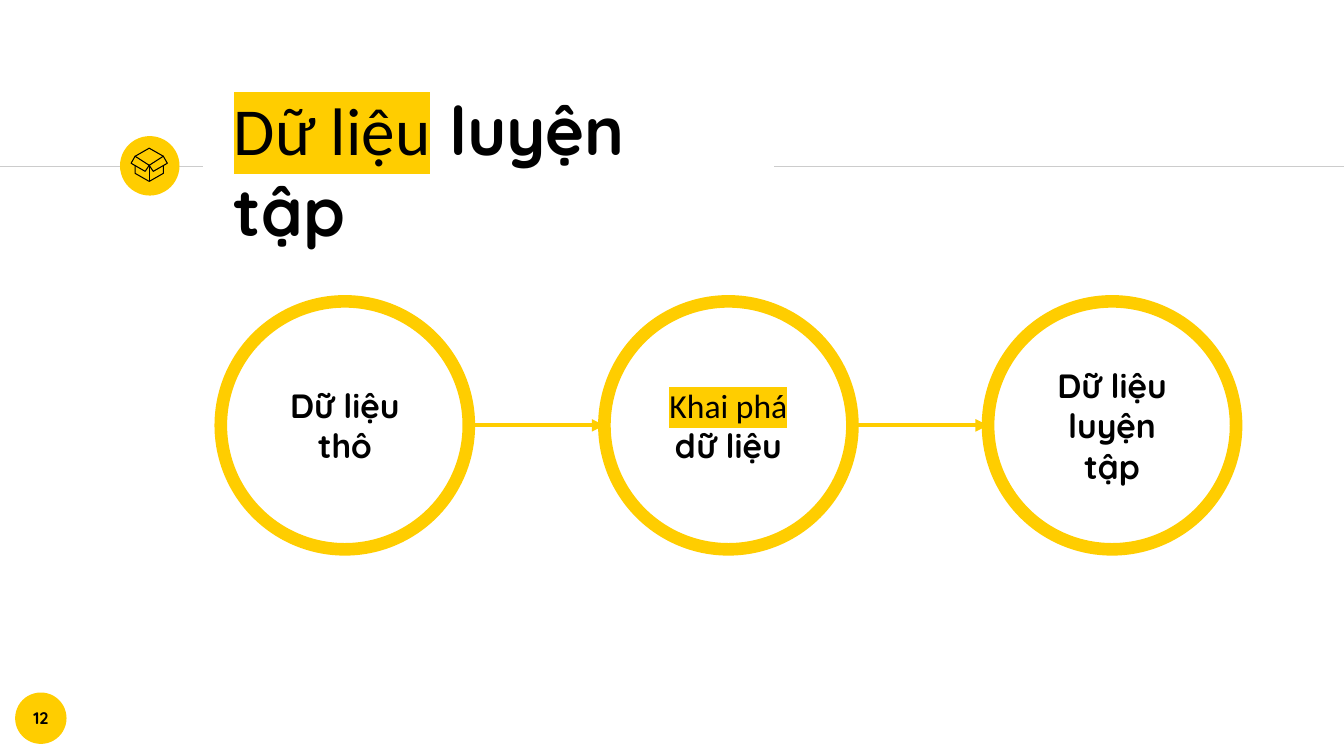
from lxml.etree import SubElement
from pptx import Presentation
from pptx.dml.color import RGBColor
from pptx.enum.shapes import MSO_CONNECTOR, MSO_SHAPE
from pptx.enum.text import MSO_ANCHOR, PP_ALIGN
from pptx.oxml.ns import qn
from pptx.util import Inches, Pt

YELLOW = RGBColor(0xFF, 0xCD, 0x00)
BLACK = RGBColor(0x00, 0x00, 0x00)
GREY = RGBColor(0xCC, 0xCC, 0xCC)
HEADING_FONT = "Quicksand"
MARKED_FONT = "Calibri"


def highlight(run):
    fill = run.font._element.find(qn("a:solidFill"))
    mark = SubElement(run.font._element, qn("a:highlight"))
    SubElement(mark, qn("a:srgbClr"), val=str(YELLOW))
    fill.addnext(mark)


def write(shape, marked, plain, size, inset, align):
    """Write a highlighted part followed by a bold part; either may be empty."""
    frame = shape.text_frame
    frame.word_wrap = True
    frame.vertical_anchor = MSO_ANCHOR.MIDDLE
    frame.margin_left = frame.margin_right = Inches(inset)
    frame.margin_top = frame.margin_bottom = Inches(inset)
    paragraph = frame.paragraphs[0]
    paragraph.alignment = align
    for words, is_marked in ((marked, True), (plain, False)):
        if not words:
            continue
        run = paragraph.add_run()
        run.text = words
        run.font.size = Pt(size)
        run.font.bold = not is_marked
        run.font.color.rgb = BLACK
        run.font.name = MARKED_FONT if is_marked else HEADING_FONT
        if is_marked:
            highlight(run)


def add_circle(shapes, left, top, size, ring=None):
    """Add a yellow disc, or a hollow yellow ring of the given width."""
    circle = shapes.add_shape(MSO_SHAPE.OVAL, Inches(left), Inches(top),
                              Inches(size), Inches(size))
    circle.shadow.inherit = False
    if ring:
        circle.fill.background()
        circle.line.color.rgb = YELLOW
        circle.line.width = Pt(ring)
    else:
        circle.fill.solid()
        circle.fill.fore_color.rgb = YELLOW
        circle.line.fill.background()
    return circle


def add_line(shapes, start, end, color, width, arrow=False):
    line = shapes.add_connector(MSO_CONNECTOR.STRAIGHT,
                                *(Inches(value) for value in (*start, *end)))
    line.line.color.rgb = color
    line.line.width = Pt(width)
    if arrow:
        SubElement(line.line._get_or_add_ln(), qn("a:tailEnd"), type="triangle")
    SubElement(line._element.spPr, qn("a:effectLst"))


def add_box_icon(shapes, left, top):
    """Draw an open carton, 0.36 wide and 0.33 high."""
    middle, side, flap = 0.18, 0.14, 0.04
    outlines = [
        ([(middle - side, 0.17), (middle - side, 0.25), (middle, 0.33),
          (middle + side, 0.25), (middle + side, 0.17)], False),
        ([(middle + side, 0.08), (middle, 0), (middle - side, 0.08)], False),
    ]
    for direction in (-1, 1):
        outlines.append(([(middle + direction * flap, 0.23),
                          (middle + direction * 0.18, 0.15),
                          (middle + direction * side, 0.08),
                          (middle, 0.17)], True))
    icon = shapes.add_group_shape()
    for points, closed in outlines:
        corners = [(Inches(left + x), Inches(top + y)) for x, y in points]
        builder = icon.shapes.build_freeform(*corners[0])
        builder.add_line_segments(corners[1:], close=closed)
        panel = builder.convert_to_shape()
        panel.shadow.inherit = False
        panel.fill.background()
        panel.line.color.rgb = BLACK
        panel.line.width = Pt(0.75)
    add_line(icon.shapes, (left + middle, top + 0.17),
             (left + middle, top + 0.33), BLACK, 0.75)


def add_header(shapes, left, top, width, height):
    rule_y = top + 0.3
    add_line(shapes, (0, rule_y), (left - 0.18, rule_y), GREY, 0.75)
    add_circle(shapes, left - 1, top, 0.59)
    add_line(shapes, (left + width + 0.16, rule_y), (13.33, rule_y), GREY, 0.75)
    title = shapes.add_textbox(Inches(left), Inches(top),
                               Inches(width), Inches(height))
    write(title, "Dữ liệu", " luyện tập", 48, 0.13, PP_ALIGN.LEFT)
    title.text_frame.margin_right = Inches(0.2)
    title.text_frame.margin_bottom = Inches(0.38)
    add_box_icon(shapes, left - 0.89, top + 0.12)


def add_process(shapes, left, top, width, size):
    """Spread the steps evenly over the width and join them with arrows."""
    steps = [("", "Dữ liệu thô"), ("Khai phá", " dữ liệu"),
             ("", "Dữ liệu luyện tập")]
    pitch = (width - size) / (len(steps) - 1)
    middle = top + size / 2
    for index, (marked, plain) in enumerate(steps):
        step_left = left + index * pitch
        step = add_circle(shapes, step_left, top, size, ring=9)
        write(step, marked, plain, 24, 0.13, PP_ALIGN.CENTER)
        if index:
            add_line(shapes, (step_left - pitch + size, middle),
                     (step_left, middle), YELLOW, 3, arrow=True)


def add_page_number(shapes, left, top, size):
    badge = add_circle(shapes, left, top, size)
    write(badge, "", "12", 12, 0.1, PP_ALIGN.CENTER)


def main():
    deck = Presentation()
    deck.slide_width = Inches(13.33)
    deck.slide_height = Inches(7.5)
    shapes = deck.slides.add_slide(deck.slide_layouts[6]).shapes
    add_header(shapes, 2.19, 1.35, 5.33, 0.91)
    add_process(shapes, 2.19, 2.99, 10.07, 2.46)
    add_page_number(shapes, 0.15, 6.87, 0.51)
    deck.save("out.pptx")


if __name__ == "__main__":
    main()
